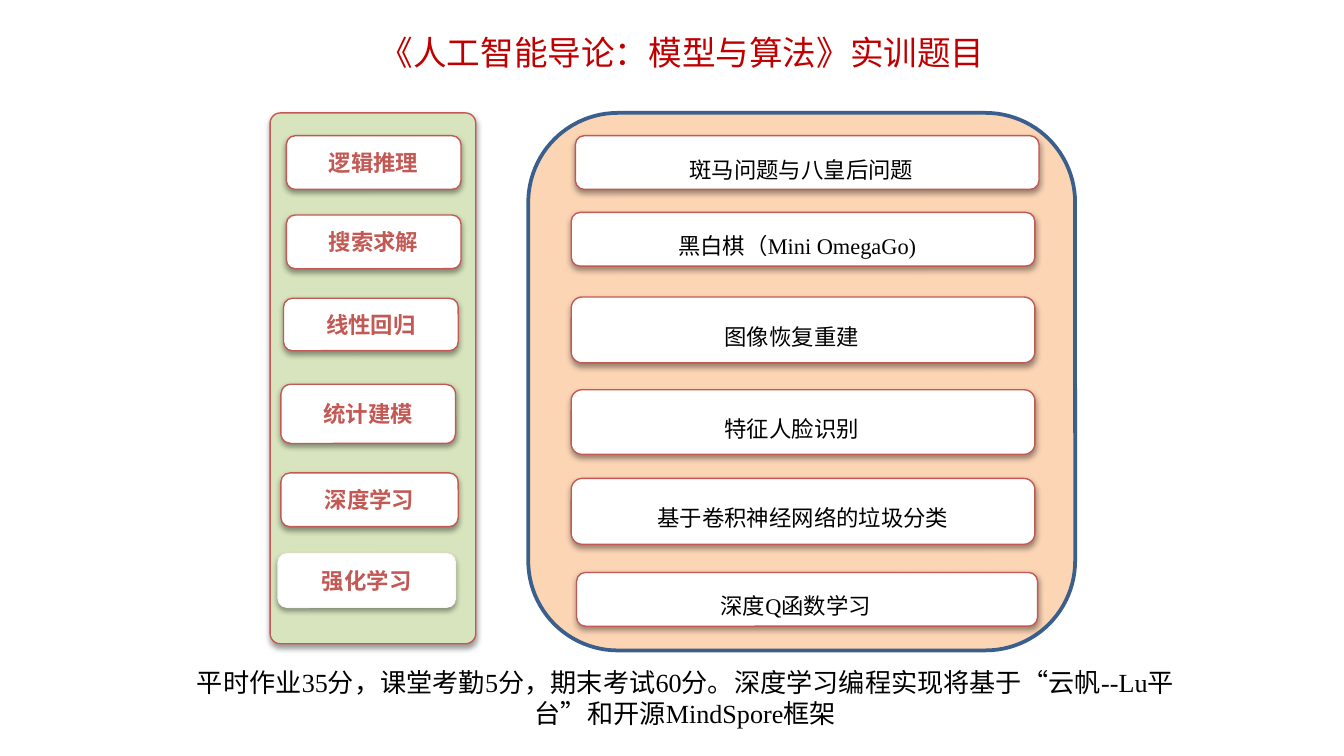
from lxml.etree import SubElement
from pptx import Presentation
from pptx.dml.color import RGBColor
from pptx.enum.shapes import MSO_SHAPE as Preset
from pptx.enum.text import MSO_ANCHOR as Anchor, PP_ALIGN as Align
from pptx.oxml.ns import qn
from pptx.util import Pt

WHITE = RGBColor(0xFF, 0xFF, 0xFF)
BLACK = RGBColor(0x00, 0x00, 0x00)
TITLE_RED = RGBColor(0xC0, 0x00, 0x00)
TOPIC_RED = RGBColor(0xC3, 0x59, 0x54)
PALE_EDGE = RGBColor(0xF9, 0xF9, 0xF9)
GREEN = RGBColor(0xD7, 0xE4, 0xBD)
PEACH = RGBColor(0xFC, 0xD5, 0xB5)
BLUE = RGBColor(0x3A, 0x5F, 0x8C)
FONT = "Times New Roman"

TOPICS = [
    ("逻辑推理", 153.4, 72.7, 93.6, 28.8, TOPIC_RED),
    ("搜索求解", 153.4, 115.2, 93.6, 28.8, TOPIC_RED),
    ("线性回归", 151.9, 159.8, 93.6, 28.1, TOPIC_RED),
    ("统计建模", 150.5, 205.9, 93.6, 31.7, TOPIC_RED),
    ("深度学习", 150.5, 253.4, 95, 28.8, TOPIC_RED),
    ("强化学习", 149, 296.6, 95, 28.8, PALE_EDGE),
]
EXERCISES = [
    ("斑马问题与八皇后问题", 308.2, 72.7, 248.4, 28.8, 6),
    ("黑白棋（Mini OmegaGo)", 306, 113.8, 248.4, 28.8, 6),
    ("图像恢复重建", 306, 159.1, 248.4, 35.3, 12),
    ("特征人脸识别", 306, 208.8, 248.4, 34.6, 12),
    ("基于卷积神经网络的垃圾分类", 306, 256.3, 248.4, 35.3, 0),
    ("深度Q函数学习", 308.9, 306.7, 247, 28.8, 12),
]
GRADING = ("平时作业35分，课堂考勤5分，期末考试60分。深度学习编程实现将基于"
           "“云帆--Lu平台”和开源MindSpore框架")


def write(frame, text, size=12, color=BLACK, bold=False, spacing=1.0):
    frame.word_wrap = True
    line = frame.paragraphs[0]
    line.alignment = Align.CENTER
    line.line_spacing = spacing
    run = line.add_run()
    run.text = text
    run.font.name = FONT
    run.font.size = Pt(size)
    run.font.bold = bold
    run.font.color.rgb = color


def add_caption(slide, left, top, width, height, text, **style):
    caption = slide.shapes.add_textbox(Pt(left), Pt(top), Pt(width), Pt(height))
    write(caption.text_frame, text, **style)


def add_shadow(panel):
    effects = panel._element.spPr.find(qn("a:effectLst"))
    shadow = SubElement(effects, qn("a:outerShdw"), blurRad=str(Pt(3.1)),
                        dist=str(Pt(1.6)), dir="5400000", rotWithShape="0")
    tint = SubElement(shadow, qn("a:srgbClr"), val=str(BLACK))
    SubElement(tint, qn("a:alpha"), val="38000")


def add_panel(slide, left, top, width, height, fill, edge, weight=0.75, shaded=True):
    panel = slide.shapes.add_shape(
        Preset.ROUNDED_RECTANGLE, Pt(left), Pt(top), Pt(width), Pt(height))
    panel.fill.solid()
    panel.fill.fore_color.rgb = fill
    panel.line.color.rgb = edge
    panel.line.width = Pt(weight)
    panel.shadow.inherit = False
    if shaded:
        add_shadow(panel)
    return panel


def add_card(slide, left, top, width, height, text, edge=TOPIC_RED, shift=0, **style):
    card = add_panel(slide, left, top, width, height, WHITE, edge)
    frame = card.text_frame
    frame.vertical_anchor = Anchor.MIDDLE
    frame.margin_top = frame.margin_bottom = 0
    frame.margin_left = Pt(7.2)
    frame.margin_right = Pt(7.2 + shift)
    write(frame, text, **style)


def main():
    deck = Presentation()
    deck.slide_width, deck.slide_height = Pt(720), Pt(405)
    slide = deck.slides.add_slide(deck.slide_layouts[6])

    add_panel(slide, 283, 60.5, 293, 288, PEACH, BLUE, weight=2, shaded=False)
    add_caption(slide, 75.6, 2.9, 579.6, 38.9, "《人工智能导论：模型与算法》实训题目",
                size=18, color=TITLE_RED, spacing=1.5)
    topic_column = add_panel(slide, 144.7, 60.5, 110.2, 284.4, GREEN, TOPIC_RED)
    topic_column.adjustments[0] = 0.05

    for text, left, top, width, height, edge in TOPICS:
        add_card(slide, left, top, width, height, text, edge=edge,
                 color=TOPIC_RED, bold=True)
    for text, left, top, width, height, shift in EXERCISES:
        add_card(slide, left, top, width, height, text, shift=shift, spacing=1.5)

    add_caption(slide, 82.1, 353.5, 570.2, 41, GRADING, size=14)
    deck.save("out.pptx")


if __name__ == "__main__":
    main()
